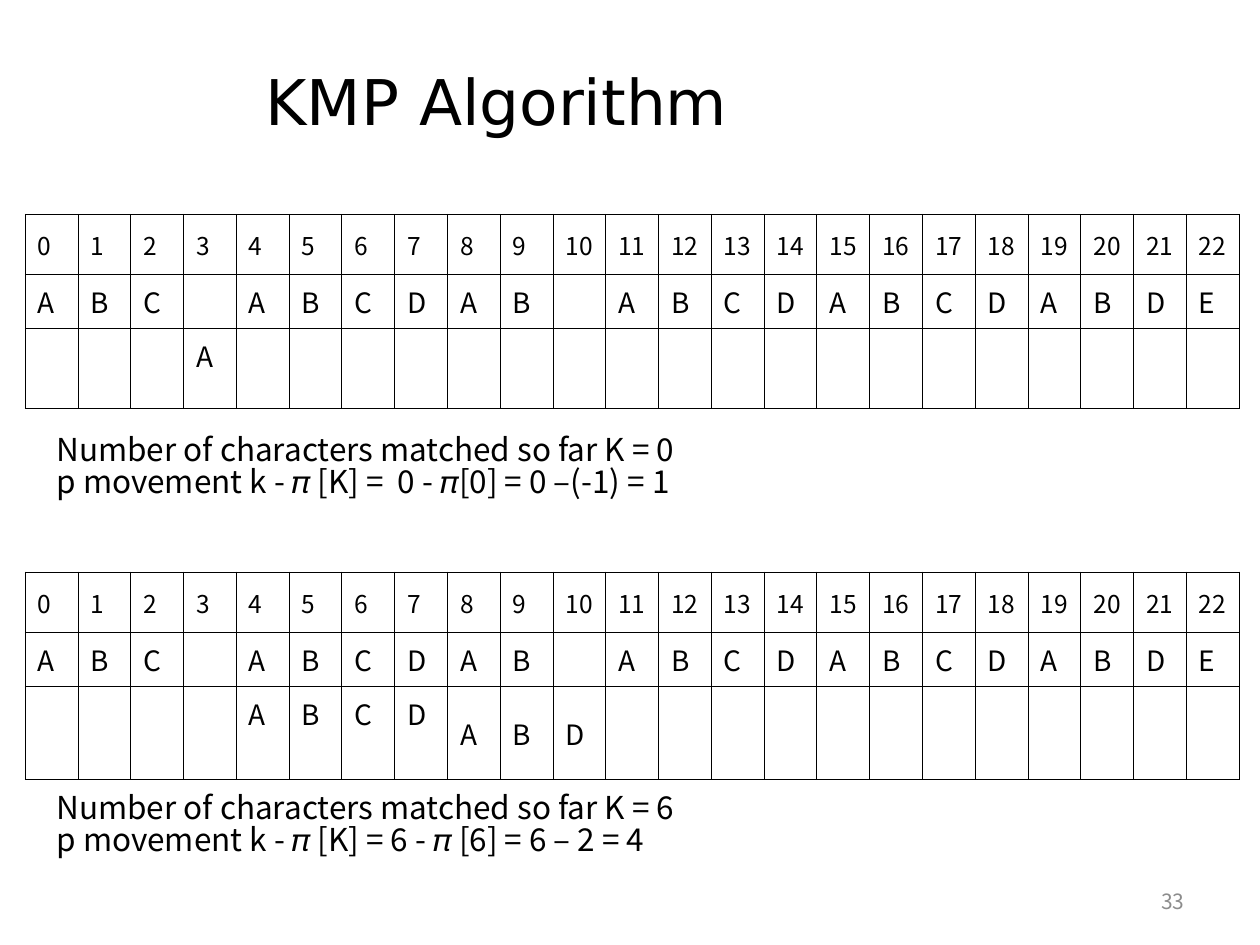
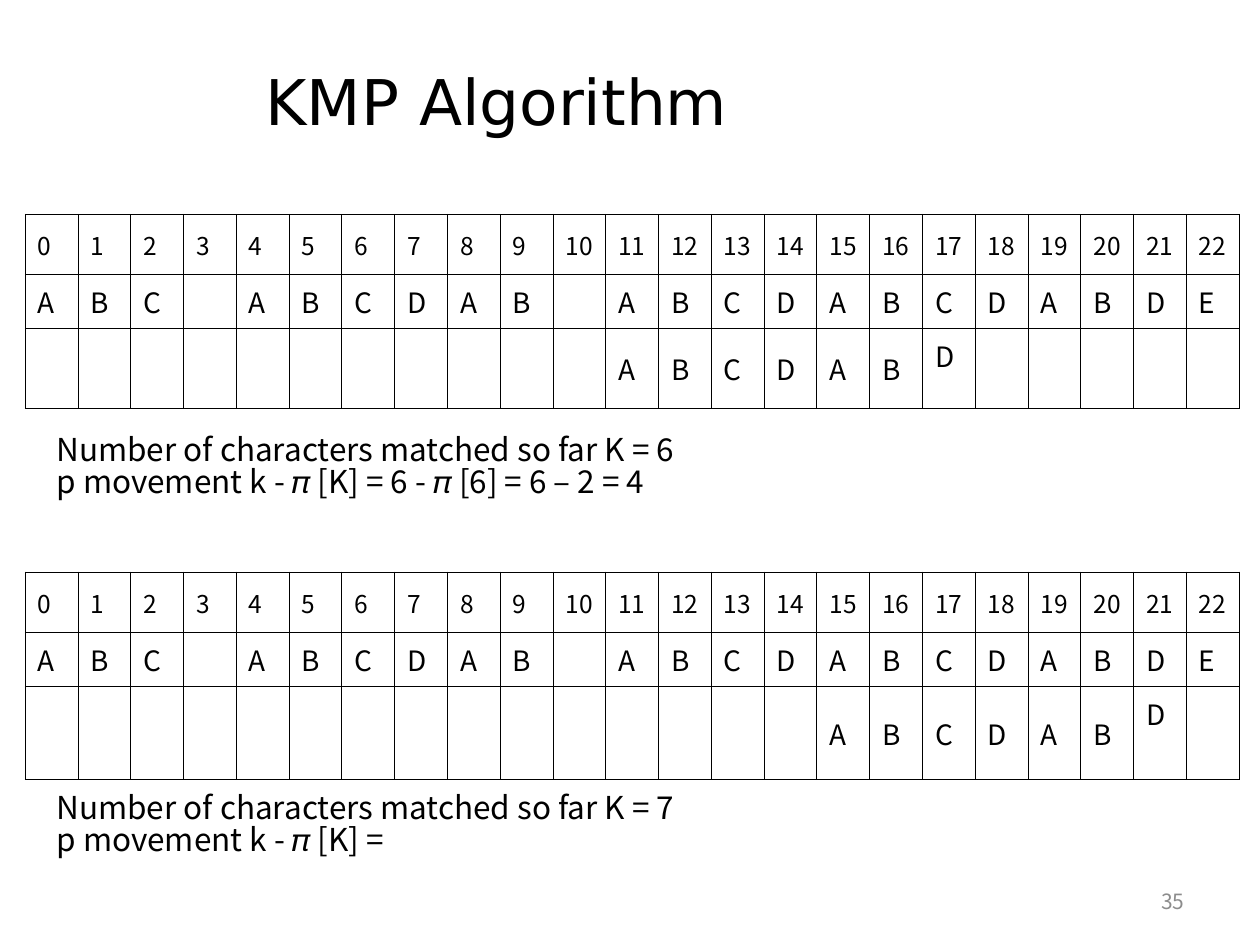
from dataclasses import dataclass

from lxml.etree import SubElement
from pptx import Presentation
from pptx.dml.color import RGBColor
from pptx.enum.text import MSO_ANCHOR, PP_ALIGN
from pptx.oxml.ns import qn
from pptx.util import Inches, Pt


@dataclass(frozen=True)
class Theme:
    ink: str = "000000"
    muted: str = "8C8C8C"
    title_font: str = "DejaVu Sans"
    body_font: str = "Noto Sans CJK KR"
    title_size: int = 36
    note_size: int = 18
    letter_size: int = 16
    index_size: int = 14
    number_size: int = 12
    border: float = 0.56
    note_spacing: float = 0.83


@dataclass(frozen=True)
class Step:
    """One attempt to match the pattern against the text."""
    start: int
    pattern: str
    raised: range  # columns whose letter sits at the top of its cell
    matched: int
    movement: str


THEME = Theme()
SEARCHED = "ABC ABCDAB ABCDABCDABDE"
TABLE_LEFT, TABLE_WIDTH = 0.2, 9.64
INDEX_ROW, LETTER_ROW = 0.48, 0.43
STEP_TOPS = (1.7, 4.54)
PATTERN_ROWS = (0.63, 0.74)
NOTE_OFFSET = 1.66

SLIDES = (
    ("33", (
        Step(3, "A", range(3, 4), 0, "  0 - 𝜋[0] = 0 –(-1) = 1"),
        Step(4, "ABCDABD", range(4, 8), 6, " 6 - 𝜋 [6] = 6 – 2 = 4"),
    )),
    ("35", (
        Step(11, "ABCDABD", range(17, 18), 6, " 6 - 𝜋 [6] = 6 – 2 = 4"),
        Step(15, "ABCDABD", range(21, 22), 7, ""),
    )),
)


def add_run(paragraph, text, size, font=THEME.body_font, color=THEME.ink):
    run = paragraph.add_run()
    run.text = text
    run.font.size = Pt(size)
    run.font.name = font
    run.font.color.rgb = RGBColor.from_string(color)


def add_text_frame(slide, left, top, width, height):
    box = slide.shapes.add_textbox(*map(Inches, (left, top, width, height)))
    frame = box.text_frame
    frame.word_wrap = True
    frame.vertical_anchor = MSO_ANCHOR.MIDDLE
    return frame


def add_title(slide):
    frame = add_text_frame(slide, 2.01, 0.29, 7.06, 1.01)
    add_run(frame.paragraphs[0], "KMP Algorithm", THEME.title_size, THEME.title_font)


def add_page_number(slide, number):
    paragraph = add_text_frame(slide, 7.17, 6.95, 2.33, 0.4).paragraphs[0]
    paragraph.alignment = PP_ALIGN.RIGHT
    add_run(paragraph, number, THEME.number_size, color=THEME.muted)


def outline_cell(cell):
    properties = cell._tc.get_or_add_tcPr()
    for side in ("a:lnL", "a:lnR", "a:lnT", "a:lnB"):
        line = SubElement(properties, qn(side), w=str(int(Pt(THEME.border))))
        fill = SubElement(line, qn("a:solidFill"))
        SubElement(fill, qn("a:srgbClr"), val=THEME.ink)
    cell.fill.background()


def fill_cell(cell, text, size, anchor):
    outline_cell(cell)
    cell.margin_right = Inches(0.05)
    cell.vertical_anchor = anchor
    paragraph = cell.text_frame.paragraphs[0]
    paragraph.alignment = PP_ALIGN.JUSTIFY
    if text.strip():
        add_run(paragraph, text, size)


def add_match_table(slide, step, top, pattern_row):
    columns = len(SEARCHED)
    heights = (INDEX_ROW, LETTER_ROW, pattern_row)
    table = slide.shapes.add_table(
        len(heights), columns, Inches(TABLE_LEFT), Inches(top),
        Inches(TABLE_WIDTH), Inches(sum(heights))).table
    table.first_row = table.horz_banding = False
    for row, height in zip(table.rows, heights):
        row.height = Inches(height)
    for column in table.columns:
        column.width = Inches(TABLE_WIDTH / columns)

    # Index, searched text, and the pattern shifted to its start
    shifted = (" " * step.start + step.pattern).ljust(columns)
    for i in range(columns):
        anchor = MSO_ANCHOR.TOP if i in step.raised else MSO_ANCHOR.MIDDLE
        fill_cell(table.cell(0, i), str(i), THEME.index_size, MSO_ANCHOR.MIDDLE)
        fill_cell(table.cell(1, i), SEARCHED[i], THEME.letter_size, MSO_ANCHOR.MIDDLE)
        fill_cell(table.cell(2, i), shifted[i], THEME.letter_size, anchor)


def add_movement_note(slide, step, top):
    frame = add_text_frame(slide, 0.35, top, 5.59, 0.71)
    lines = (f"Number of characters matched so far K = {step.matched}",
             f"p movement k - 𝜋 [K] ={step.movement}")
    for paragraph, line in zip((frame.paragraphs[0], frame.add_paragraph()), lines):
        paragraph.alignment = PP_ALIGN.JUSTIFY
        paragraph.line_spacing = THEME.note_spacing
        add_run(paragraph, line, THEME.note_size)


def add_match_slide(deck, number, steps):
    slide = deck.slides.add_slide(deck.slide_layouts[6])
    add_title(slide)
    for step, top, pattern_row in zip(steps, STEP_TOPS, PATTERN_ROWS):
        add_match_table(slide, step, top, pattern_row)
        add_movement_note(slide, step, top + NOTE_OFFSET)
    add_page_number(slide, number)


def main():
    deck = Presentation()
    deck.slide_width, deck.slide_height = Inches(10), Inches(7.5)
    for number, steps in SLIDES:
        add_match_slide(deck, number, steps)
    deck.save("out.pptx")


if __name__ == "__main__":
    main()
